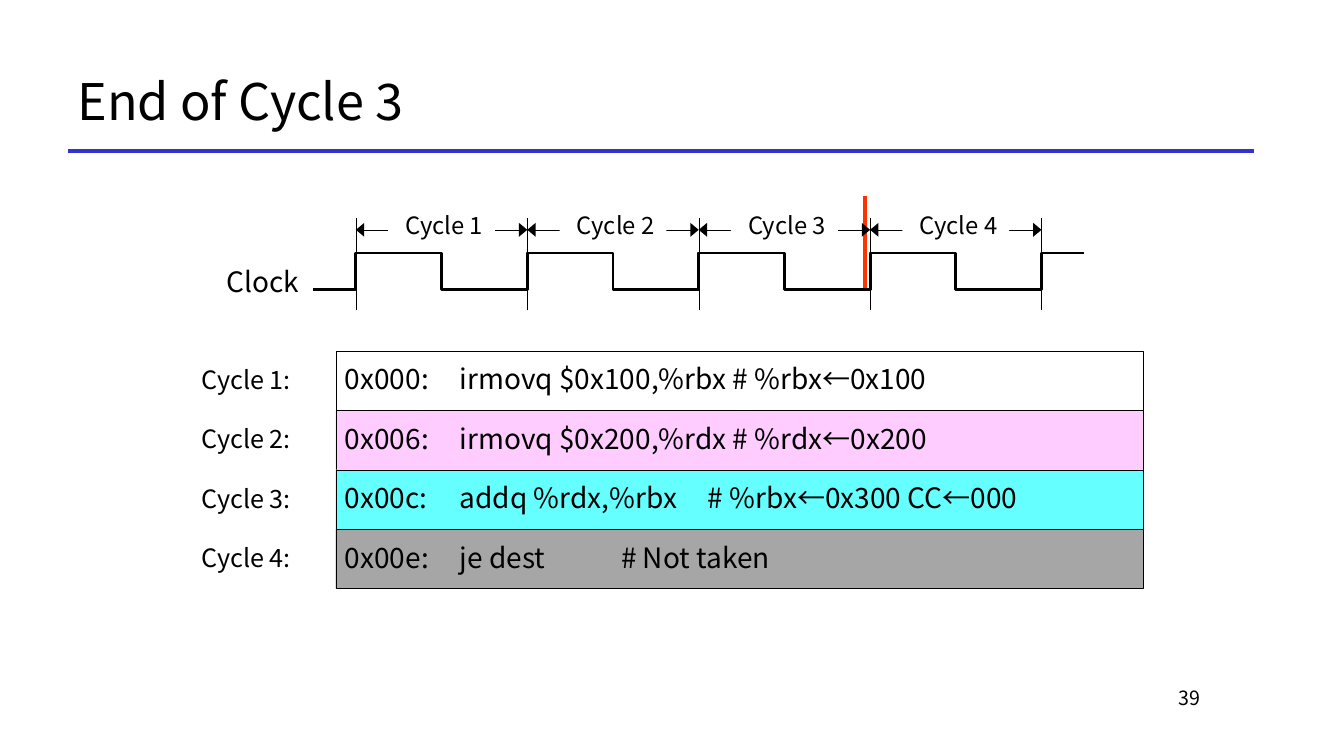
from pptx import Presentation
from pptx import util as u
from pptx.dml.color import RGBColor
from pptx.enum import shapes, text
from pptx.oxml import ns
from lxml import etree

FONT = "Noto Sans CJK KR"
INK = {"black": "000000", "white": "FFFFFF", "blue": "3333CC", "red": "FF3300",
       "pink": "FFCCFF", "cyan": "66FFFF", "gray": "A6A6A6"}
THIN = 0.25                 # hairline in points
LEFT, STEP = 3.53, 1.7      # first clock edge, cycle length
HIGH, LOW = 2.51, 2.87      # clock levels
TOP, ROW = 3.48, 0.59       # code rows

# address, instruction, comment, comment tab (None: plain space), fill
CODE = [
    ("0x000:", "irmovq $0x100,%rbx", "# %rbx←0x100", None, "white"),
    ("0x006:", "irmovq $0x200,%rdx", "# %rdx←0x200", None, "pink"),
    ("0x00c:", "addq %rdx,%rbx", "# %rbx←0x300 CC←000", 2.46, "cyan"),
    ("0x00e:", "je dest", "# Not taken", 1.6, "gray"),
]


def color(name):
    return RGBColor.from_string(INK[name])


def sub(node, tag, **attrs):
    return etree.SubElement(node, ns.qn(tag), **attrs)


def label(slide, words, x, y, w, h, size, left=0, right=0, align="LEFT",
          fill=None, tab=None, space=0.9):
    box = slide.shapes.add_textbox(*map(u.Inches, (x, y, w, h)))
    if fill:
        box.fill.solid()
        box.fill.fore_color.rgb = color(fill)
    frame = box.text_frame
    frame.word_wrap = True
    frame.vertical_anchor = text.MSO_ANCHOR.MIDDLE
    frame.margin_left, frame.margin_right = u.Inches(left), u.Inches(right)
    frame.margin_top = frame.margin_bottom = 0
    para = frame.paragraphs[0]
    para.alignment = getattr(text.PP_ALIGN, align)
    para.line_spacing = space
    if tab:
        stops = sub(para._p.get_or_add_pPr(), "a:tabLst")
        sub(stops, "a:tab", pos=str(u.Inches(tab)), algn="l")
    run = para.add_run()
    run.text = words
    run.font.name = FONT
    run.font.size = u.Pt(size)
    run.font.color.rgb = color("black")


def line(slide, x1, y1, x2, y2, ink="black", width=THIN, arrows=False):
    link = slide.shapes.add_connector(
        shapes.MSO_CONNECTOR.STRAIGHT, *map(u.Inches, (x1, y1, x2, y2)))
    link.line.color.rgb = color(ink)
    link.line.width = u.Pt(width)
    if arrows:
        for end in ("a:headEnd", "a:tailEnd"):
            sub(link.line._get_or_add_ln(), end, type="triangle", w="lg", len="med")
    sub(link._element.spPr, "a:effectLst")


def bar(slide, x, y, w, h, fill):
    rect = slide.shapes.add_shape(
        shapes.MSO_SHAPE.RECTANGLE, *map(u.Inches, (x, y, w, h)))
    rect.shadow.inherit = False
    rect.fill.solid()
    rect.fill.fore_color.rgb = color(fill)
    rect.line.color.rgb = color("black")
    rect.line.width = u.Pt(THIN)


def wave(slide, x):
    half, lead = STEP / 2, STEP / 4
    pts = [(x - lead, LOW), (x, LOW), (x, HIGH), (x + half, HIGH), (x + half, LOW),
           (x + STEP, LOW), (x + STEP, HIGH), (x + STEP + lead, HIGH)]
    pts = [(u.Inches(a), u.Inches(b)) for a, b in pts]
    form = slide.shapes.build_freeform(*pts[0])
    form.add_line_segments(pts[1:], close=False)
    pulse = form.convert_to_shape()
    pulse.shadow.inherit = False
    pulse.fill.background()
    pulse.line.color.rgb = color("black")
    pulse.line.width = u.Pt(2)


def clock(slide):
    line(slide, 8.58, 1.94, 8.58, 2.86, "red", 3)
    label(slide, "Clock", 2.25, 2.66, 0.8, 0.3, 20)
    for i in range(4):
        x = LEFT + i * STEP
        line(slide, x, 2.28, x + STEP, 2.28, arrows=True)
        label(slide, f"Cycle {i + 1}", x + 0.32, 2.04, 1.06, 0.42, 17,
              left=0.17, fill="white")
        wave(slide, x)
    for i in range(5):
        x = LEFT + i * STEP
        line(slide, x, 3.08, x, 2.16)


def code(slide):
    for i, (addr, op, note, tab, fill) in enumerate(CODE):
        y = TOP + i * ROW
        bar(slide, 3.33, y, 8.01, ROW, fill)
        label(slide, f"Cycle {i + 1}:", 2, y + 0.16, 0.92, 0.28, 18)
        label(slide, addr, 3.42, y + 0.14, 0.88, 0.31, 20)
        gap = "\t" if tab else " "
        label(slide, op + gap + note, 4.56, y + 0.14, 5.87, 0.31, 20, tab=tab)


def main():
    deck = Presentation()
    deck.slide_width, deck.slide_height = u.Inches(13.33), u.Inches(7.5)
    slide = deck.slides.add_slide(deck.slide_layouts[6])
    # Title and rule
    label(slide, "End of Cycle 3", 0.67, 0.5, 11.78, 1, 36, left=0.1, space=1)
    line(slide, 0.67, 1.5, 12.44, 1.5, "blue", 3)
    # Timing diagram and program
    clock(slide)
    code(slide)
    # Page number
    label(slide, "39", 10.11, 6.67, 1.89, 0.5, 14, right=0.1, align="RIGHT", space=1)
    deck.save("out.pptx")


if __name__ == "__main__":
    main()
